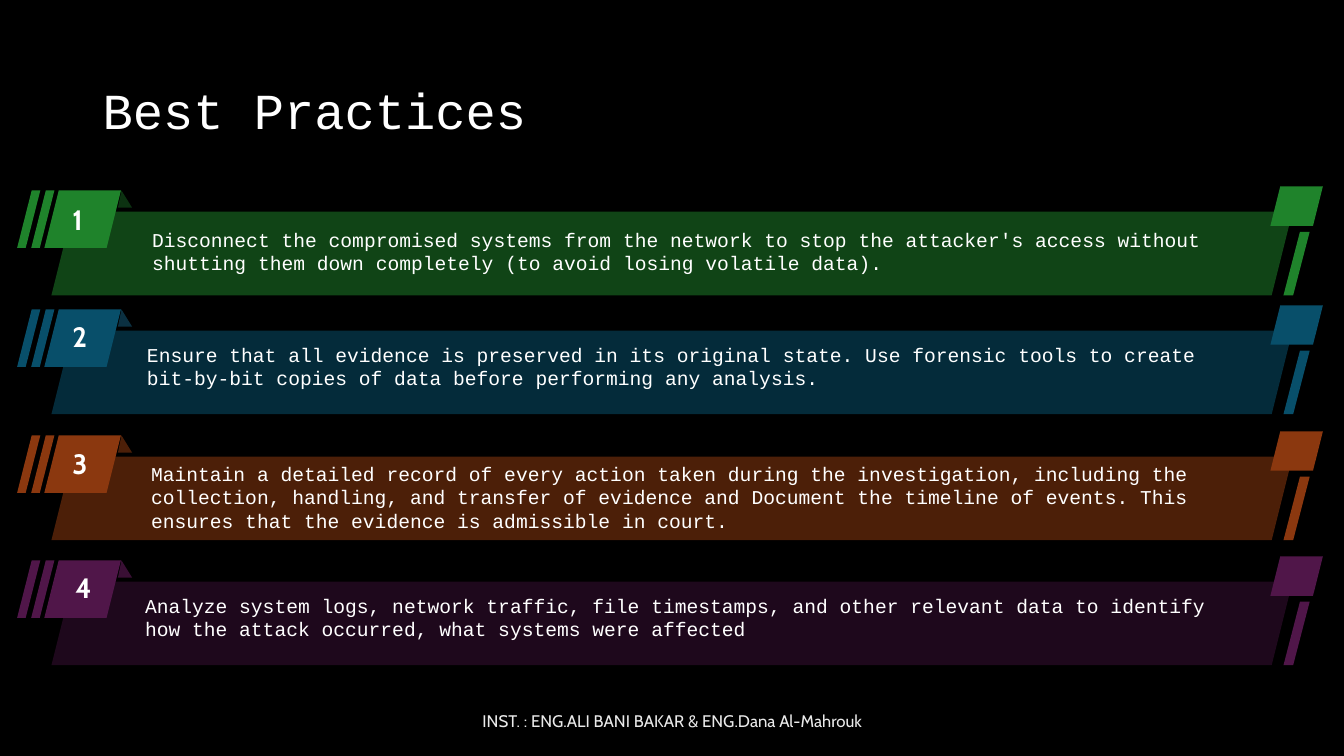
import pptx
import pptx.util
import pptx.dml.color
import pptx.enum.shapes
import pptx.enum.text

Inches = pptx.util.Inches
RGB = pptx.dml.color.RGBColor
SHAPE = pptx.enum.shapes.MSO_SHAPE
ALIGN = pptx.enum.text.PP_ALIGN
ANCHOR = pptx.enum.text.MSO_ANCHOR

BLACK = RGB(0x00, 0x00, 0x00)
WHITE = RGB(0xFF, 0xFF, 0xFF)
LIGHT_GREY = RGB(0xEA, 0xEA, 0xEA)
GREEN, DARK_GREEN, FOLD_GREEN = RGB(0x1F, 0x83, 0x2B), RGB(0x10, 0x44, 0x16), RGB(0x0C, 0x32, 0x11)
BLUE, DARK_BLUE, FOLD_BLUE = RGB(0x08, 0x4F, 0x6A), RGB(0x04, 0x2B, 0x3A), RGB(0x0B, 0x30, 0x41)
ORANGE, DARK_ORANGE = RGB(0x8B, 0x38, 0x0F), RGB(0x4C, 0x1F, 0x08)
PURPLE, DARK_PURPLE, FOLD_PURPLE = RGB(0x50, 0x16, 0x49), RGB(0x1E, 0x08, 0x1C), RGB(0x39, 0x0F, 0x34)

# Banner top, (accent, bar, fold) colours, number position, text box, text
PRACTICES = [
    (2.1, (GREEN, DARK_GREEN, FOLD_GREEN), (0.62, 1.96), (1.41, 2.21, 11.01, 0.57),
     "Disconnect the compromised systems from the network to stop the attacker's access "
     "without shutting them down completely (to avoid losing volatile data)."),
    (3.28, (BLUE, DARK_BLUE, FOLD_BLUE), (0.62, 3.12), (1.36, 3.35, 11.17, 0.57),
     "Ensure that all evidence is preserved in its original state. Use forensic tools to "
     "create bit-by-bit copies of data before performing any analysis."),
    (4.53, (ORANGE, DARK_ORANGE, DARK_ORANGE), (0.62, 4.38), (1.4, 4.53, 11.04, 0.81),
     "Maintain a detailed record of every action taken during the investigation, including "
     "the collection, handling, and transfer of evidence and Document the timeline of "
     "events. This ensures that the evidence is admissible in court."),
    (5.77, (PURPLE, DARK_PURPLE, FOLD_PURPLE), (0.65, 5.61), (1.34, 5.84, 11.1, 0.57),
     "Analyze system logs, network traffic, file timestamps, and other relevant data to "
     "identify how the attack occurred, what systems were affected"),
]


class Deck:
    body = {"name": "Courier New", "size": pptx.util.Pt(14), "color": WHITE}
    title = {**body, "size": pptx.util.Pt(36)}
    number = {"name": "Cabin", "size": pptx.util.Pt(20), "bold": True, "color": WHITE}
    footer = {"name": "Cabin", "size": pptx.util.Pt(12), "color": LIGHT_GREY}

    def __init__(self, prs):
        self.slide = prs.slides.add_slide(prs.slide_layouts[6])
        fill = self.slide.background.fill
        fill.solid()
        fill.fore_color.rgb = BLACK

    def shape(self, kind, box, color, adj=0.25):
        sp = self.slide.shapes.add_shape(kind, *map(Inches, box))
        sp.shadow.inherit = False
        sp.fill.solid()
        sp.fill.fore_color.rgb = color
        sp.line.fill.background()
        sp.adjustments[0] = adj

    def text(self, box, text, style, wrap=True, anchor=ANCHOR.TOP, **paragraph):
        tf = self.slide.shapes.add_textbox(*map(Inches, box)).text_frame
        tf.word_wrap = wrap
        tf.vertical_anchor = anchor
        p = tf.paragraphs[0]
        for name, value in paragraph.items():
            setattr(p, name, value)
        r = p.add_run()
        r.text = text
        for name, value in style.items():
            if name == "color":
                r.font.color.rgb = value
            else:
                setattr(r.font, name, value)

    def banner(self, top, accent, bar, fold):
        """Draw the slanted bar with its number tab, stripes and end pieces."""
        slant = SHAPE.PARALLELOGRAM
        tab_top = top - 0.21
        self.shape(slant, (0.51, top, 12.31, 0.83), bar)
        self.shape(slant, (0.44, tab_top, 0.76, 0.57), accent)
        for left in (0.31, 0.17):
            self.shape(slant, (left, tab_top, 0.23, 0.57), accent, 0.63)
        self.shape(SHAPE.ISOSCELES_TRIANGLE, (1.17, tab_top, 0.14, 0.17), fold)
        self.shape(slant, (12.6, top - 0.25, 0.52, 0.39), accent)
        self.shape(slant, (12.73, top + 0.2, 0.26, 0.63), accent, 0.63)


def main():
    prs = pptx.Presentation()
    prs.slide_width, prs.slide_height = Inches(13.33), Inches(7.5)
    deck = Deck(prs)
    deck.text((0.92, 0.4, 11.5, 1.45), "Best Practices", deck.title,
              anchor=ANCHOR.MIDDLE, line_spacing=0.9)
    deck.text((4.42, 6.95, 4.5, 0.4), "INST. : ENG.ALI BANI BAKAR & ENG.Dana Al-Mahrouk",
              deck.footer, anchor=ANCHOR.MIDDLE, alignment=ALIGN.CENTER)
    for i, (top, colors, number_at, box, text) in enumerate(PRACTICES, 1):
        deck.banner(top, *colors)
        deck.text(box, text, deck.body)
        deck.text((*number_at, 0.36, 0.44), str(i), deck.number, wrap=False)
    prs.save("out.pptx")


if __name__ == "__main__":
    main()
